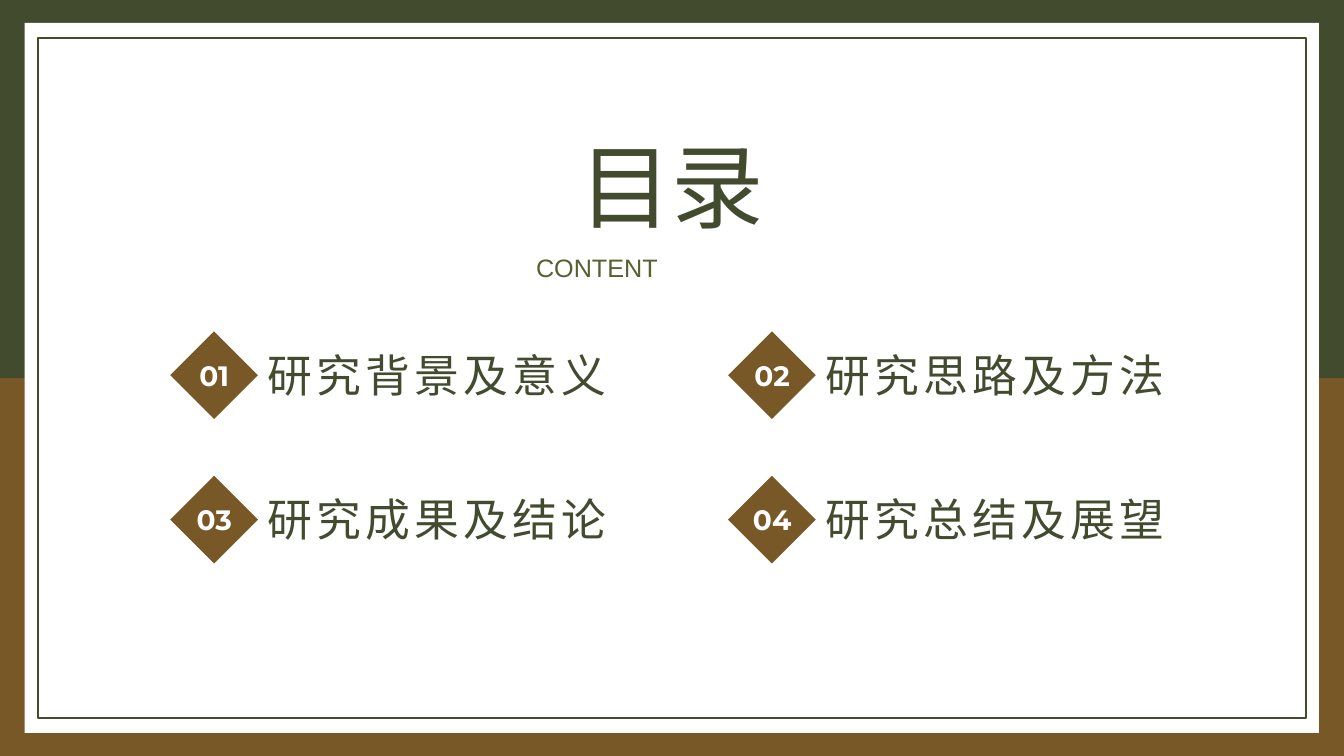
from dataclasses import dataclass
from typing import Optional

from lxml.etree import SubElement
from pptx import Presentation
from pptx.dml.color import RGBColor
from pptx.enum.shapes import MSO_SHAPE
from pptx.enum.text import MSO_ANCHOR, MSO_AUTO_SIZE, PP_ALIGN
from pptx.oxml.ns import qn
from pptx.slide import Slide
from pptx.util import Cm, Pt


@dataclass(frozen=True)
class Theme:
    green: RGBColor = RGBColor(0x43, 0x4B, 0x2F)
    olive: RGBColor = RGBColor(0x57, 0x60, 0x31)
    brown: RGBColor = RGBColor(0x79, 0x58, 0x27)
    white: RGBColor = RGBColor(0xFF, 0xFF, 0xFF)
    chinese: str = "Noto Sans CJK SC"
    latin: str = "Arial"
    numeral: str = "Montserrat"
    title_size: int = 66
    chapter_size: int = 32
    number_size: int = 20
    subtitle_size: int = 18


@dataclass(frozen=True)
class Box:
    left: float
    top: float
    width: float
    height: float

    def lengths(self) -> tuple[Cm, Cm, Cm, Cm]:
        return Cm(self.left), Cm(self.top), Cm(self.width), Cm(self.height)


@dataclass(frozen=True)
class Chapter:
    number: int
    heading: str


THEME = Theme()
WIDTH, HEIGHT = 33.87, 19.05
COLUMNS = 2
FIRST_LEFT, FIRST_TOP = 4.29, 8.35
COLUMN_STEP, ROW_STEP = 14.06, 3.64
DIAMOND = 2.21

CHAPTERS = [
    Chapter(1, "研究背景及意义"),
    Chapter(2, "研究思路及方法"),
    Chapter(3, "研究成果及结论"),
    Chapter(4, "研究总结及展望"),
]


def add_figure(slide: Slide, box: Box, fill: Optional[RGBColor] = None,
               outline: Optional[RGBColor] = None,
               kind: MSO_SHAPE = MSO_SHAPE.RECTANGLE) -> None:
    figure = slide.shapes.add_shape(kind, *box.lengths())
    figure.shadow.inherit = False
    if fill is None:
        figure.fill.background()
    else:
        figure.fill.solid()
        figure.fill.fore_color.rgb = fill
    if outline is None:
        figure.line.fill.background()
    else:
        figure.line.color.rgb = outline
        figure.line.width = Pt(1.5)


def add_text(slide: Slide, box: Box, text: str, *, size: int, font: str,
             color: RGBColor, bold: bool = False, spacing: float = 0,
             align: PP_ALIGN = PP_ALIGN.LEFT, anchor: MSO_ANCHOR = MSO_ANCHOR.TOP,
             inset: bool = False, wrap: bool = True, grow: bool = True) -> None:
    frame = slide.shapes.add_textbox(*box.lengths()).text_frame
    frame.word_wrap = wrap
    frame.auto_size = MSO_AUTO_SIZE.SHAPE_TO_FIT_TEXT if grow else MSO_AUTO_SIZE.NONE
    frame.vertical_anchor = anchor
    if not inset:
        frame.margin_left = frame.margin_right = 0
        frame.margin_top = frame.margin_bottom = 0
    paragraph = frame.paragraphs[0]
    paragraph.alignment = align
    run = paragraph.add_run()
    run.text = text
    run.font.size = Pt(size)
    run.font.bold = bold
    run.font.color.rgb = color
    run.font.name = font
    properties = run._r.get_or_add_rPr()
    SubElement(properties, qn("a:ea")).set("typeface", font)
    if spacing:
        properties.set("spc", str(round(spacing * 100)))


def add_background(slide: Slide) -> None:
    half = HEIGHT / 2
    add_figure(slide, Box(0, half, WIDTH, half), THEME.brown)
    add_figure(slide, Box(0, 0, WIDTH, half), THEME.green)
    add_figure(slide, Box(0.62, 0.58, 32.62, 17.89), THEME.white)
    add_figure(slide, Box(0.96, 0.96, 31.95, 17.13), outline=THEME.green)


def add_chapter(slide: Slide, chapter: Chapter, left: float, top: float) -> None:
    add_figure(slide, Box(left, top, DIAMOND, DIAMOND), THEME.brown,
               kind=MSO_SHAPE.DIAMOND)
    add_text(slide, Box(left + DIAMOND, top + 0.28, 9.63, 1.63), chapter.heading,
             size=THEME.chapter_size, font=THEME.chinese, color=THEME.green,
             spacing=3, inset=True)
    add_text(slide, Box(left + 0.22, top + 0.44, 1.78, 1.32), f"{chapter.number:02d}",
             size=THEME.number_size, font=THEME.numeral, color=THEME.white, bold=True,
             align=PP_ALIGN.CENTER, anchor=MSO_ANCHOR.MIDDLE, grow=False)


def main() -> None:
    presentation = Presentation()
    presentation.slide_width, presentation.slide_height = Cm(WIDTH), Cm(HEIGHT)
    slide = presentation.slides.add_slide(presentation.slide_layouts[6])
    add_background(slide)
    for index, chapter in enumerate(CHAPTERS):
        row, column = divmod(index, COLUMNS)
        add_chapter(slide, chapter, FIRST_LEFT + column * COLUMN_STEP,
                    FIRST_TOP + row * ROW_STEP)
    add_text(slide, Box(14.58, 3.25, 4.7, 2.82), "目录", size=THEME.title_size,
             font=THEME.chinese, color=THEME.green, align=PP_ALIGN.CENTER, wrap=False)
    add_text(slide, Box(13.51, 6.35, 6.83, 0.76), "CONTENT", size=THEME.subtitle_size,
             font=THEME.latin, color=THEME.olive, align=PP_ALIGN.JUSTIFY)
    presentation.save("out.pptx")


if __name__ == "__main__":
    main()
